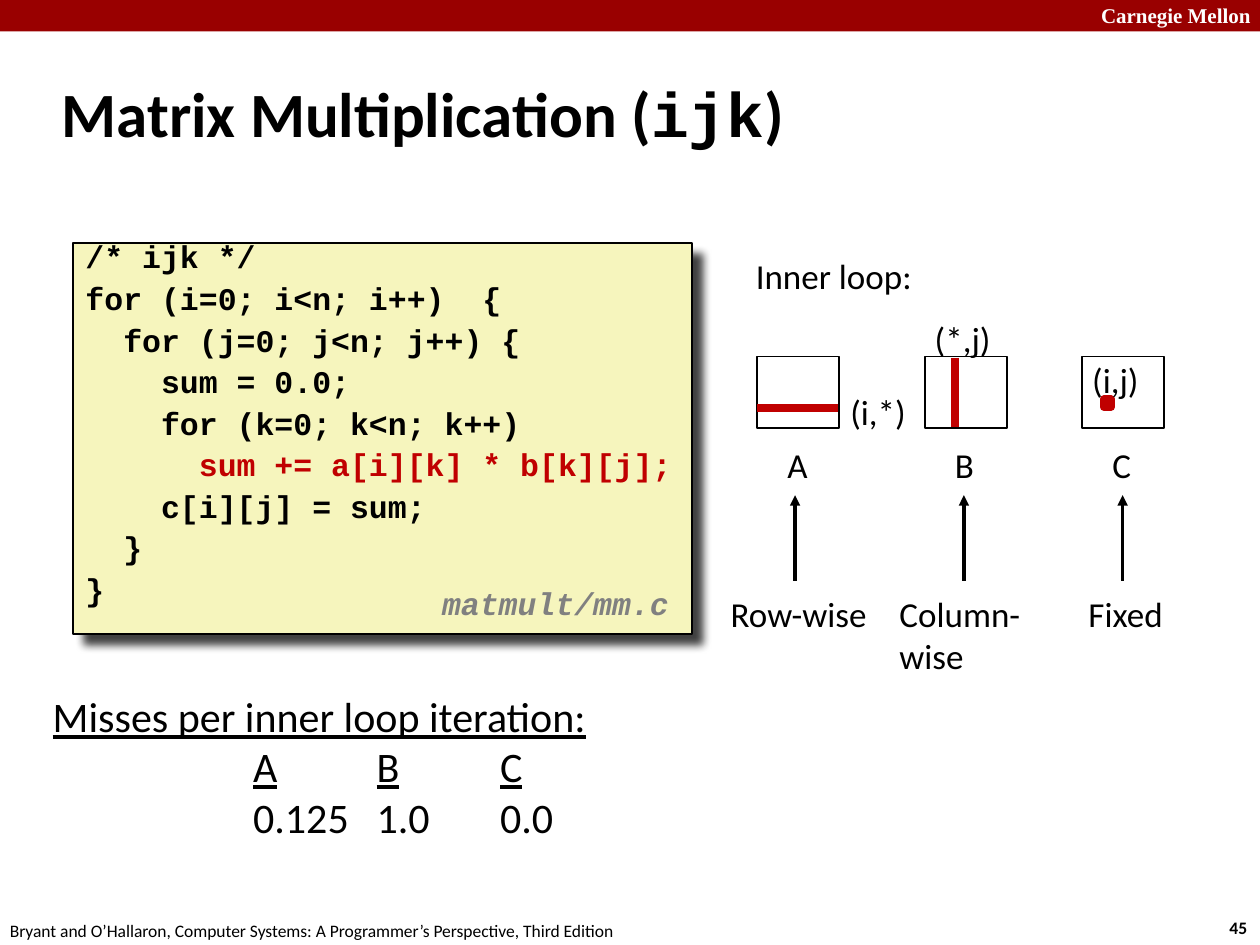
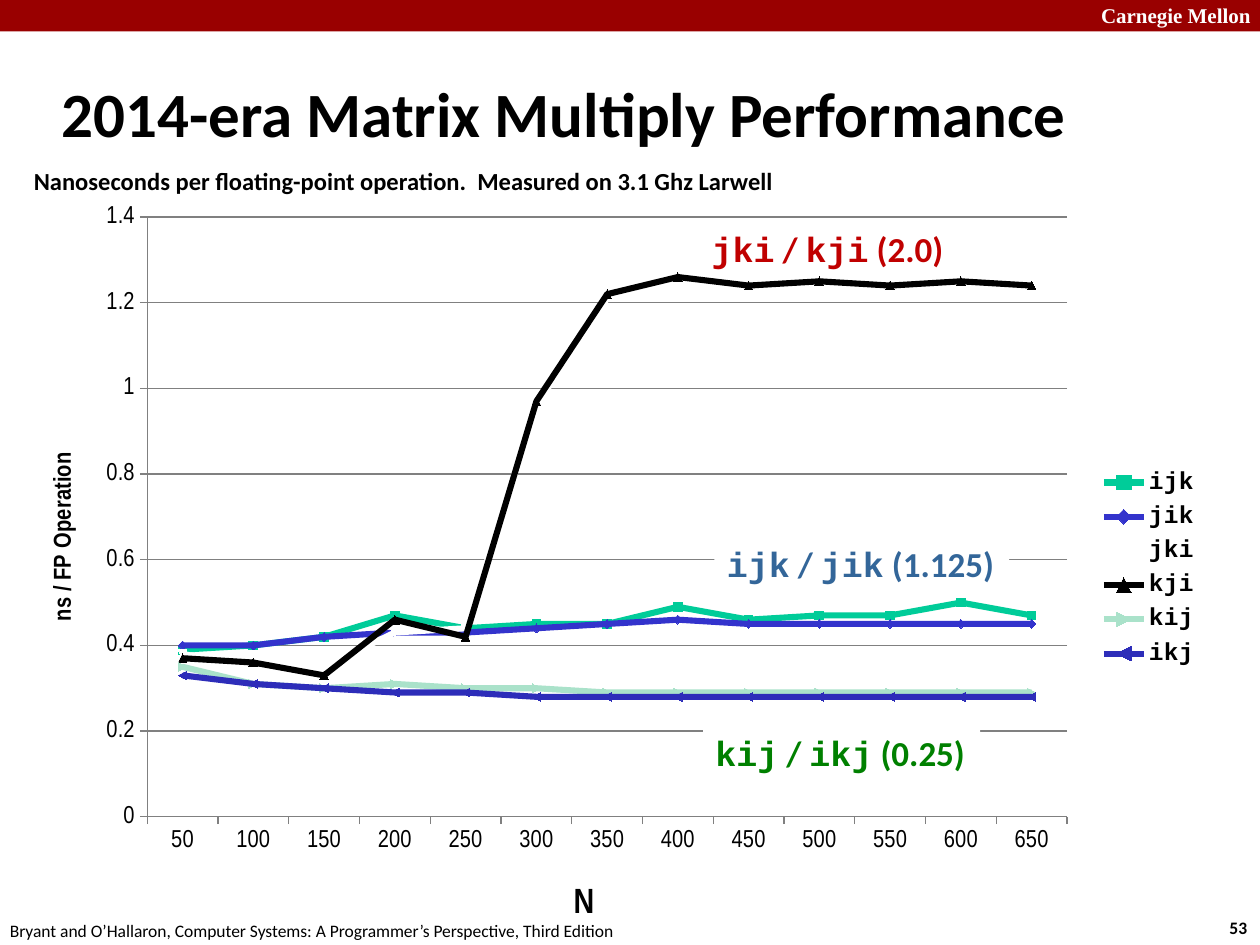
"""Build two slides on matrix multiplication and its cache performance."""
from pptx import Presentation
from pptx import util as u
from pptx.chart import data as chart_data
from pptx.dml.color import RGBColor
from pptx.enum import chart as charts, shapes, text
from pptx.oxml import parse_xml
from pptx.oxml.ns import nsdecls, qn

COLORS = {
    "band": "990000", "white": "FFFFFF", "black": "000000", "panel": "F6F5BD",
    "red": "C00000", "bright_red": "FF0000", "gray": "808080",
    "blue": "336699", "green": "008000",
    "ijk": "00CC99", "jik": "3333CC", "jki": "FFFFFF",
    "kji": "000000", "kij": "AAE2CA", "ikj": "2D2DB9",
}
MONO, SANS, SERIF, NARROW = "Courier New", "Calibri", "Times New Roman", "Arial Narrow"
BODY = {"name": SANS, "size": 20, "color": "black"}
FOOTER = {**BODY, "size": 10}
CODE = {"name": MONO, "size": 18, "bold": True, "color": "black"}
BOOK = "Bryant and O’Hallaron, Computer Systems: A Programmer’s Perspective, Third Edition"

CODE_LINES = [
    [("/* ijk */", {})],
    [("for (i=0; i<n; i++)  {", {})],
    [("  for (j=0; j<n; j++) {", {})],
    [("    sum = 0.0;", {})],
    [("    for (k=0; k<n; k++)", {})],
    [("      ", {}), ("sum += a[i][k] * b[k][j];", {"color": "red"})],
    [("    c[i][j] = sum;", {})],
    [("  }", {})],
    [("}", {})],
]
TIMINGS = {
    "ijk": [.39, .4, .42, .47, .44, .45, .45, .49, .46, .47, .47, .5, .47],
    "jik": [.4, .4, .42, .43, .43, .44, .45, .46, .45, .45, .45, .45, .45],
    "jki": [.38, .35, .35, .43, .44, .96, 1.21, 1.25, 1.23, 1.23, 1.23, 1.24, 1.23],
    "kji": [.37, .36, .33, .46, .42, .97, 1.22, 1.26, 1.24, 1.25, 1.24, 1.25, 1.24],
    "kij": [.35, .31, .3, .31, .3, .3, .29, .29, .29, .29, .29, .29, .29],
    "ikj": [.33, .31, .3, .29, .29, .28, .28, .28, .28, .28, .28, .28, .28],
}


def rgb(name):
    """Return the named colour."""
    return RGBColor.from_string(COLORS[name])


def inches(*lengths):
    """Convert lengths to inches."""
    return [u.Inches(length) for length in lengths]


def set_font(font, values):
    """Apply a dict of format values to a font."""
    for key, value in values.items():
        if key == "color":
            font.color.rgb = rgb(value)
        else:
            setattr(font, key, u.Pt(value) if key == "size" else value)


def set_line(line, color, width):
    """Give a line its colour and width in points."""
    line.color.rgb = rgb(color)
    line.width = u.Pt(width)


def write_text(shape, paragraphs, style, wrap=False, **spacing):
    """Write paragraphs of (text, format) runs and return the paragraphs."""
    frame = shape.text_frame
    frame.word_wrap = wrap
    for index, runs in enumerate(paragraphs):
        paragraph = frame.add_paragraph() if index else frame.paragraphs[0]
        paragraph.alignment = text.PP_ALIGN.LEFT
        for key, value in spacing.items():
            if index or key != "space_before":
                setattr(paragraph, key, value)
        for content, changes in runs:
            run = paragraph.add_run()
            run.text = content
            set_font(run.font, {**style, **changes})
    return frame.paragraphs


def add_text(slide, box, paragraphs, style=BODY, wrap=False, **spacing):
    """Add a text box from a string or from paragraphs of runs."""
    if isinstance(paragraphs, str):
        paragraphs = [[(line, {})] for line in paragraphs.split("\n")]
    shape = slide.shapes.add_textbox(*inches(*box))
    write_text(shape, paragraphs, style, wrap, **spacing)
    return shape


def add_rectangle(slide, box, fill, line=None, width=1):
    """Add a plain rectangle, outlined when a line colour is given."""
    shape = slide.shapes.add_shape(shapes.MSO_SHAPE.RECTANGLE, *inches(*box))
    shape.shadow.inherit = False
    shape.fill.solid()
    shape.fill.fore_color.rgb = rgb(fill)
    if line:
        set_line(shape.line, line, width)
    else:
        shape.line.fill.background()
    return shape


def add_line(slide, start, end, color, width, arrow=False):
    """Add a straight line, with an arrowhead at its end on request."""
    connector = slide.shapes.add_connector(
        shapes.MSO_CONNECTOR.STRAIGHT, *inches(*start, *end))
    set_line(connector.line, color, width)
    if arrow:
        connector.line._get_or_add_ln().append(
            parse_xml(f'<a:tailEnd {nsdecls("a")} type="triangle"/>'))
    connector._element.spPr.append(parse_xml(f'<a:effectLst {nsdecls("a")}/>'))


def add_drop_shadow(shape):
    """Cast a soft black shadow to the lower right."""
    shape._element.spPr.find(qn("a:effectLst")).append(parse_xml(
        f'<a:outerShdw {nsdecls("a")} blurRad="63500" dist="107950" dir="2700000" '
        'algn="tl" rotWithShape="0"><a:srgbClr val="000000"><a:alpha val="75000"/>'
        '</a:srgbClr></a:outerShdw>'))


def add_tabs(paragraph, stops):
    """Set left tab stops, in inches."""
    tabs = "".join(f'<a:tab pos="{u.Inches(stop)}" algn="l"/>' for stop in stops)
    paragraph._p.get_or_add_pPr().append(
        parse_xml(f'<a:tabLst {nsdecls("a")}>{tabs}</a:tabLst>'))


def add_page(presentation, title_runs, number):
    """Add a slide with the shared band, title and footers."""
    slide = presentation.slides.add_slide(presentation.slide_layouts[5])
    add_rectangle(slide, (0, 0, 10, 0.25), "band")
    add_text(slide, (8.64, -0.03, 1.43, 0.3), "Carnegie Mellon",
             {"name": SERIF, "size": 12, "bold": True, "color": "white"}, wrap=True)
    add_text(slide, (9.66, 7.23, 0.37, 0.27), number, {**FOOTER, "bold": True})
    add_text(slide, (-0.02, 7.25, 5.08, 0.27), BOOK, FOOTER)
    title = slide.shapes.title
    title.left, title.top, title.width, title.height = inches(0.39, 0.48, 8.3, 0.83)
    title.text_frame.vertical_anchor = text.MSO_ANCHOR.MIDDLE
    write_text(title, [title_runs], {**BODY, "size": 36, "bold": True}, wrap=True)
    return slide


def add_code(slide):
    """Add the code panel with its file name."""
    panel = add_rectangle(slide, (0.58, 1.93, 4.91, 3.1), "panel", "black")
    add_drop_shadow(panel)
    panel.text_frame.vertical_anchor = text.MSO_ANCHOR.TOP
    write_text(panel, CODE_LINES, CODE, True, line_spacing=0.65, space_before=u.Pt(9.7))
    add_text(slide, (3.41, 4.61, 2.08, 0.39), "matmult/mm.c",
             {**CODE, "italic": True, "color": "gray"}, line_spacing=0.94)


def add_access_diagram(slide):
    """Show how the inner loop walks through each matrix."""
    add_text(slide, (5.9, 1.97, 1.45, 0.43), "Inner loop:", wrap=True)
    matrices = [
        ("A", 6.01, 6.31, "Row-wise", 5.7, 1.29),
        ("B", 7.34, 7.65, "Column-\nwise", 7.04, 1.17),
        ("C", 8.59, 8.91, "Fixed", 8.54, 0.79),
    ]
    for name, left, arrow_x, access, access_left, access_width in matrices:
        add_rectangle(slide, (left, 2.83, 0.65, 0.57), "white", "black")
        add_text(slide, (left + 0.14, 3.47, 0.36, 0.43), name)
        add_line(slide, (arrow_x, 4.61), (arrow_x, 3.93), "black", 2, arrow=True)
        add_text(slide, (access_left, 4.65, access_width, 0.43), access)
    add_line(slide, (7.58, 2.84), (7.58, 3.39), "red", 4.5)
    add_line(slide, (6.01, 3.24), (6.65, 3.24), "red", 4.5)
    add_rectangle(slide, (8.76, 3.17, 0.06, 0.06), "bright_red", "red", 4.5)
    for index, left, top, width in (("(i,*)", 6.65, 3.05, 0.64),
                                    ("(*,j)", 7.32, 2.47, 0.65),
                                    ("(i,j)", 8.57, 2.8, 0.57)):
        add_text(slide, (left, top, width, 0.43), index)


def add_misses(slide):
    """List the misses per iteration in tabbed columns."""
    underlined = {"underline": True}
    header = [run for name in "ABC" for run in (("\t", {}), (name, underlined))]
    box = add_text(slide, (0.32, 5.43, 5.55, 1.33), [
        [("Misses per inner loop iteration:", underlined)],
        header,
        [("\t0.125\t1.0\t0.0", {})],
    ], {**BODY, "size": 24}, wrap=True)
    for paragraph in box.text_frame.paragraphs[1:]:
        add_tabs(paragraph, (1.59, 2.57, 3.55))


def place_part(element, index, x, y, width=None, height=None, inner=False):
    """Fix a chart part at fractions of the chart area."""
    for layout in element.findall(qn("c:layout")):
        element.remove(layout)
    target = '<c:layoutTarget val="inner"/>' if inner else ""
    modes = '<c:xMode val="edge"/><c:yMode val="edge"/>'
    values = "".join(f'<c:{tag} val="{value}"/>' for tag, value in
                     zip("xywh", (x, y, width, height)) if value is not None)
    element.insert(index, parse_xml(
        f'<c:layout {nsdecls("c")}><c:manualLayout>{target}{modes}{values}'
        '</c:manualLayout></c:layout>'))


def format_axis(axis, title, size, x, y):
    """Title an axis and format its labels and line."""
    frame = axis.axis_title.text_frame
    frame.text = title
    set_font(frame.paragraphs[0].runs[0].font,
             {"name": NARROW, "size": size, "bold": True, "color": "black"})
    place_part(axis.axis_title._element, 1, x, y)
    axis.major_tick_mark = charts.XL_TICK_MARK.OUTSIDE
    set_font(axis.tick_labels.font, {"name": NARROW, "size": 14, "bold": False, "color": "black"})
    set_line(axis.format.line, "gray", 0.75)


def add_timing_chart(slide):
    """Add the line chart of time per operation against matrix size."""
    data = chart_data.CategoryChartData()
    data.categories = range(50, 700, 50)
    for name, values in TIMINGS.items():
        data.add_series(name, values)
    chart = slide.shapes.add_chart(charts.XL_CHART_TYPE.LINE_MARKERS,
                                   *inches(0.17, 1.52, 9.42, 5.98), data).chart
    set_font(chart.font, {"name": NARROW, "size": 10, "color": "black"})
    chart.has_title = False
    chart.plots[0].vary_by_categories = False
    for series in chart.plots[0].series:
        series.smooth = False
        set_line(series.format.line, series.name, 3.5)
        series.marker.size = 5
        series.marker.format.fill.solid()
        series.marker.format.fill.fore_color.rgb = rgb(series.name)
        set_line(series.marker.format.line, series.name, 0.75)
    format_axis(chart.category_axis, "N", 20, 0.46, 0.91)
    values = chart.value_axis
    format_axis(values, "ns / FP Operation", 14, 0.02, 0.34)
    values.minimum_scale, values.maximum_scale, values.major_unit = 0, 1.4, 0.2
    values.tick_labels.number_format = "General"
    values.tick_labels.number_format_is_linked = False
    set_line(values.major_gridlines.format.line, "gray", 0.75)
    chart.has_legend = True
    chart.legend.position = charts.XL_LEGEND_POSITION.RIGHT
    chart.legend.include_in_layout = False
    set_font(chart.legend.font, {**CODE, "size": 14})
    place_part(chart.legend._element, 1, 0.9, 0.36, 0.1, 0.28)
    place_part(chart._chartSpace.chart.plotArea, 0, 0.106, 0.034, 0.775, 0.796, inner=True)


def add_group_label(slide, box, first, second, misses, color):
    """Label a pair of loop orders with its misses per iteration."""
    shape = add_rectangle(slide, box, "white")
    mono = {"name": MONO}
    write_text(shape, [[(first, mono), (" / ", {}), (second, mono), (f" ({misses})", {})]],
               {**BODY, "bold": True, "color": color})


def main():
    """Build and save the slides."""
    presentation = Presentation()
    presentation.slide_width, presentation.slide_height = inches(10, 7.5)

    loops = add_page(presentation, [("Matrix Multiplication (", {}),
                                    ("ijk", {"name": MONO}), (")", {})], "45")
    add_code(loops)
    add_access_diagram(loops)
    add_misses(loops)

    performance = add_page(presentation, [("2014-era Matrix Multiply Performance", {})], "53")
    add_text(performance, (0.17, 1.27, 6.41, 0.34),
             "Nanoseconds per floating-point operation.  Measured on 3.1 Ghz Larwell",
             {**BODY, "size": 14, "bold": True})
    add_timing_chart(performance)
    add_group_label(performance, (5.67, 4.25, 2.34, 0.44), "ijk", "jik", "1.125", "blue")
    add_group_label(performance, (5.55, 1.75, 2.06, 0.44), "jki", "kji", "2.0", "red")
    add_group_label(performance, (5.58, 5.75, 2.2, 0.44), "kij", "ikj", "0.25", "green")
    presentation.save("out.pptx")


if __name__ == "__main__":
    main()
